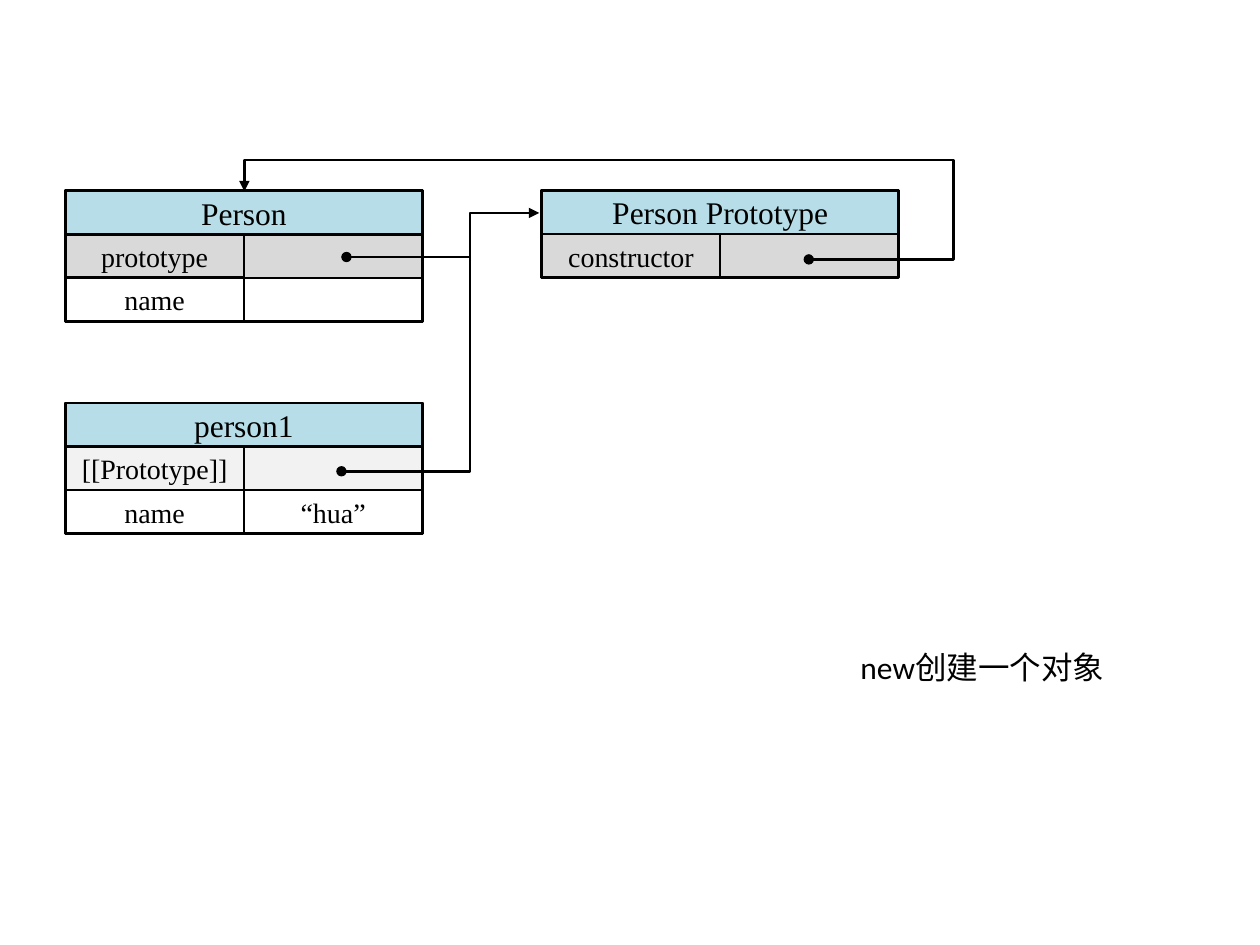
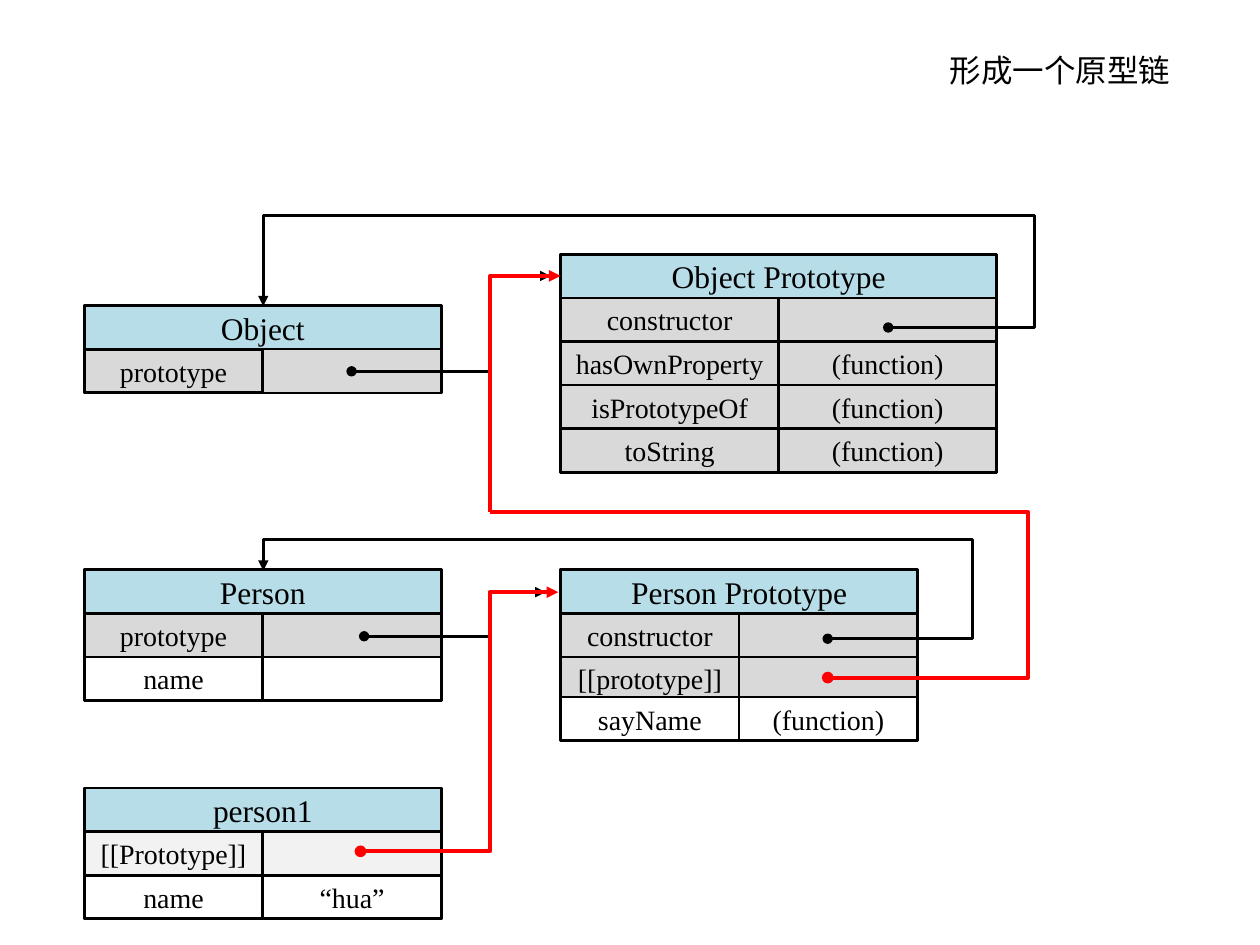
"""Two slides of object diagrams: a constructor call and a prototype chain."""
from dataclasses import dataclass, field
from typing import Any, NamedTuple, Optional

from lxml import etree
from pptx import Presentation
from pptx import util as u
from pptx.dml.color import RGBColor
from pptx.enum import shapes, text
from pptx.oxml import ns


@dataclass(frozen=True)
class Theme:
    """Colours, fonts and sizes; lengths in points."""
    ink: str = "000000"
    header: str = "B7DEE8"
    grey: str = "D9D9D9"
    pale: str = "F2F2F2"
    white: str = "FFFFFF"
    chain: str = "FF0000"
    cell_font: str = "Times New Roman"
    note_font: str = "Calibri"
    header_size: float = 18
    cell_size: float = 16
    note_size: float = 18
    thin: float = 1.5
    thick: float = 2.25
    row: float = 24.9
    card_width: float = 204


THEME = Theme()


class Point(NamedTuple):
    """A place on the slide."""
    x: float
    y: float


class Box(NamedTuple):
    """A rectangle on the slide."""
    left: float
    top: float
    width: float
    height: float


class Row(NamedTuple):
    """A property; without a value the card's own fill shows."""
    key: str
    value: Optional[str] = None
    fill: str = THEME.grey
    step: float = THEME.row


@dataclass(frozen=True)
class Card:
    """An object with a header and its properties."""
    title: str
    left: float
    top: float
    rows: list[Row]
    fill: str = THEME.grey
    width: float = THEME.card_width


@dataclass(frozen=True)
class Link:
    """A reference that turns at bend_x and, if given, at bend_y."""
    start: Point
    end: Point
    bend_x: float
    bend_y: Optional[float] = None
    chain: bool = False
    dot: bool = True
    arrow: bool = True


@dataclass(frozen=True)
class Diagram:
    """The content of one slide."""
    note: str
    note_box: Box
    cards: list[Card] = field(default_factory=list)
    links: list[Link] = field(default_factory=list)


def apply_format(target: Any, values: dict[str, Any]) -> None:
    """Set each named attribute of the target."""
    for name, value in values.items():
        setattr(target, name, value)


def in_points(values: tuple) -> list[u.Length]:
    """Turn plain numbers into lengths."""
    return [u.Pt(value) for value in values]


def write(frame: Any, words: str, font: str, size: float) -> Any:
    """Put one line of text into a frame and return its paragraph."""
    paragraph = frame.paragraphs[0]
    run = paragraph.add_run()
    run.text = words
    apply_format(run.font, {"name": font, "size": u.Pt(size)})
    run.font.color.rgb = RGBColor.from_string(THEME.ink)
    return paragraph


def draw_cell(slide: Any, box: Box, fill: str, words: str = "",
              size: float = THEME.cell_size) -> None:
    """Draw an outlined rectangle with centred text."""
    shape = slide.shapes.add_shape(shapes.MSO_SHAPE.RECTANGLE, *in_points(box))
    shape.shadow.inherit = False
    shape.fill.solid()
    shape.fill.fore_color.rgb = RGBColor.from_string(fill)
    shape.line.color.rgb = RGBColor.from_string(THEME.ink)
    shape.line.width = u.Pt(THEME.thin)
    if words:
        shape.text_frame.vertical_anchor = text.MSO_ANCHOR.MIDDLE
        paragraph = write(shape.text_frame, words, THEME.cell_font, size)
        paragraph.alignment = text.PP_ALIGN.CENTER


def draw_card(slide: Any, card: Card) -> None:
    """Draw the frame, the header and the property rows."""
    height = sum(row.step for row in card.rows) + THEME.row
    draw_cell(slide, Box(card.left, card.top, card.width, height), card.fill)
    draw_cell(slide, Box(card.left, card.top, card.width, THEME.row),
              THEME.header, card.title, THEME.header_size)
    half = card.width / 2
    top = card.top + THEME.row
    for row in card.rows:
        key_box = Box(card.left, top, half, THEME.row)
        draw_cell(slide, key_box, row.fill, row.key)
        if row.value is not None:
            draw_cell(slide, key_box._replace(left=card.left + half), row.fill, row.value)
        top += row.step


def bend(connector: Any, link: Link) -> None:
    """Set where an elbow connector turns, as shares of its extent."""
    start, end = link.start, link.end
    turns = [(link.bend_x - start.x) / (end.x - start.x)]
    if link.bend_y is not None:
        turns.append((link.bend_y - start.y) / (end.y - start.y))
    geometry = connector._element.spPr.find(ns.qn("a:prstGeom"))
    geometry.set("prst", f"bentConnector{len(turns) + 2}")
    for child in list(geometry):
        geometry.remove(child)
    guides = etree.SubElement(geometry, ns.qn("a:avLst"))
    for number, turn in enumerate(turns, 1):
        etree.SubElement(guides, ns.qn("a:gd"), name=f"adj{number}",
                         fmla=f"val {round(turn * 100000)}")


def draw_link(slide: Any, link: Link) -> None:
    """Draw a reference line with its dot and arrowhead."""
    straight = link.start.x == link.end.x
    kind = shapes.MSO_CONNECTOR.STRAIGHT if straight else shapes.MSO_CONNECTOR.ELBOW
    connector = slide.shapes.add_connector(kind, *in_points(link.start + link.end))
    if not straight:
        bend(connector, link)
    color, width = (THEME.chain, THEME.thick) if link.chain else (THEME.ink, THEME.thin)
    connector.line.color.rgb = RGBColor.from_string(color)
    connector.line.width = u.Pt(width)
    outline = connector.line._get_or_add_ln()
    for tag, ending, wanted in (("a:headEnd", "oval", link.dot),
                                ("a:tailEnd", "triangle", link.arrow)):
        if wanted:
            etree.SubElement(outline, ns.qn(tag), type=ending)
    etree.SubElement(connector._element.spPr, ns.qn("a:effectLst"))


def draw_note(slide: Any, words: str, box: Box) -> None:
    """Draw the caption of a slide."""
    frame = slide.shapes.add_textbox(*in_points(box)).text_frame
    apply_format(frame, {"word_wrap": True,
                         "auto_size": text.MSO_AUTO_SIZE.SHAPE_TO_FIT_TEXT})
    write(frame, words, THEME.note_font, THEME.note_size)


def person_card(left: float, top: float) -> Card:
    """Give the constructor's card."""
    return Card("Person", left, top,
                [Row("prototype"), Row("name", "", THEME.white)])


def instance_card(left: float, top: float) -> Card:
    """Give the card of the created object."""
    return Card("person1", left, top,
                [Row("[[Prototype]]", fill=THEME.pale),
                 Row("name", "“hua”", THEME.white)], THEME.pale)


NEW_OBJECT = Diagram(
    "new创建一个对象", Box(484.6, 366.5, 209.5, 28.8),
    cards=[
        Card("Person Prototype", 309.6, 108.9, [Row("constructor")]),
        person_card(37.4, 109),
        instance_card(37.4, 230.3),
    ],
    links=[
        Link(Point(198, 146.9), Point(308.2, 121.7), 268.6),
        Link(Point(462.2, 148.3), Point(139.7, 109.4), 545, 91.4),
        Link(Point(195.1, 269.3), Point(268.6, 146.2), 268.6, arrow=False),
    ],
)

LEFT, RIGHT, TRUNK = 48.2, 320.4, 280
METHODS = ("hasOwnProperty", "isPrototypeOf", "toString")
PROTOTYPE_CHAIN = Diagram(
    "形成一个原型链", Box(535.7, 25.9, 147.6, 28.8),
    cards=[
        Card("Person Prototype", RIGHT, 325.6,
             [Row("constructor"), Row("[[prototype]]", "", step=23),
              Row("sayName", "(function)", THEME.white)]),
        person_card(LEFT, 325.6),
        Card("Object", LEFT, 174.7, [Row("prototype")]),
        instance_card(LEFT, 450.4),
        Card("Object Prototype", RIGHT, 145.4,
             [Row("constructor")] + [Row(name, "(function)") for name in METHODS],
             width=249.2),
    ],
    links=[
        Link(Point(208.1, 363.6), Point(311.8, 338.4), TRUNK),
        Link(Point(473, 365), Point(150.5, 326.2), 555.8, 308.2),
        Link(Point(200.9, 212.2), Point(314.6, 157.7), TRUNK),
        Link(Point(473, 387.2), Point(TRUNK, 292.5), 587.5, chain=True, arrow=False),
        Link(Point(TRUNK, 239), Point(TRUNK, 292.5), TRUNK,
             chain=True, dot=False, arrow=False),
        Link(Point(TRUNK, 239), Point(RIGHT, 157.7), TRUNK, chain=True, dot=False),
        Link(Point(280.6, 363.6), Point(319, 338.4), TRUNK, chain=True, dot=False),
        Link(Point(206, 486.5), Point(TRUNK, 363.6), TRUNK, chain=True, arrow=False),
        Link(Point(507.6, 187.2), Point(150.5, 175), 591.1, 123),
    ],
)


def main() -> None:
    """Build and save the presentation."""
    presentation = Presentation()
    apply_format(presentation, {"slide_width": u.Pt(720), "slide_height": u.Pt(540)})
    for diagram in (NEW_OBJECT, PROTOTYPE_CHAIN):
        slide = presentation.slides.add_slide(presentation.slide_layouts[6])
        draw_note(slide, diagram.note, diagram.note_box)
        for card in diagram.cards:
            draw_card(slide, card)
        for link in diagram.links:
            draw_link(slide, link)
    presentation.save("out.pptx")


main()
